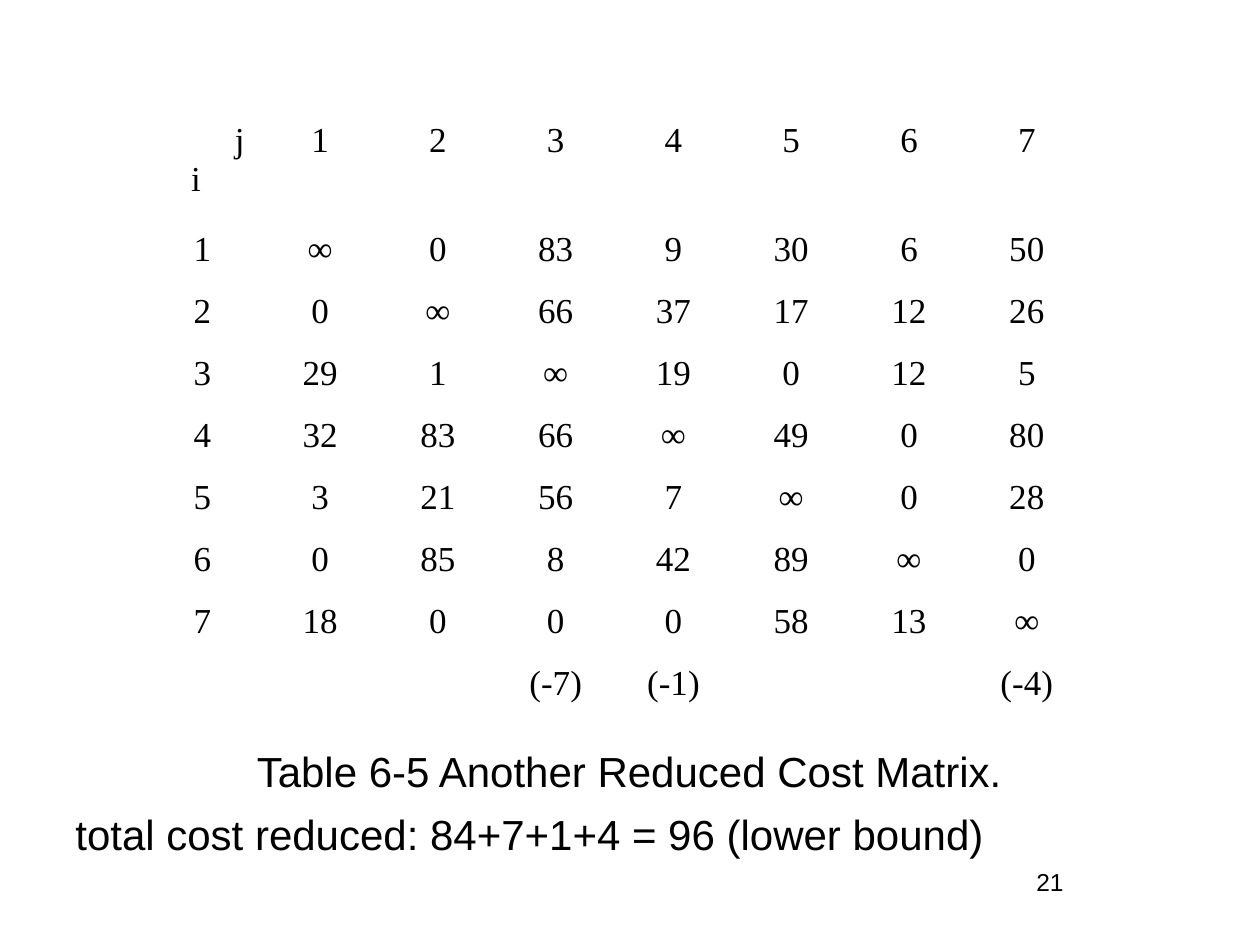
import pptx
import pptx.util
import pptx.dml.color
import pptx.enum.text

Pt = pptx.util.Pt
ALIGN = pptx.enum.text.PP_ALIGN
BLACK = pptx.dml.color.RGBColor(0, 0, 0)

COSTS = [
    ["∞", "0", "83", "9", "30", "6", "50"],
    ["0", "∞", "66", "37", "17", "12", "26"],
    ["29", "1", "∞", "19", "0", "12", "5"],
    ["32", "83", "66", "∞", "49", "0", "80"],
    ["3", "21", "56", "7", "∞", "0", "28"],
    ["0", "85", "8", "42", "89", "∞", "0"],
    ["18", "0", "0", "0", "58", "13", "∞"],
]
CUTS = ["", "", "(-7)", "(-1)", "", "", "(-4)"]
AXES = [("j", 45), ("i", 20)]
NOTES = [
    ("Table 6-5 Another Reduced Cost Matrix.", ALIGN.CENTER),
    ("total cost reduced: 84+7+1+4 = 96 (lower bound)", ALIGN.LEFT),
]
PAGE = "21"

GRID = {"name": "Times New Roman", "size": Pt(20)}
BODY = {"name": "Arial", "size": Pt(24)}
FOOT = {"name": "Arial", "size": Pt(14)}

LEFT, TOP, COL = 82, 65.5, 67.3
HEAD, ROW, LAST = 62.6, 35.4, 46


def write(frame, lines, style, gap=0):
    for n, (text, align, inset) in enumerate(lines):
        par = frame.add_paragraph() if n else frame.paragraphs[0]
        par.alignment = align
        if n and gap:
            par.space_before = Pt(gap)
        if inset:
            par._p.get_or_add_pPr().set("marL", str(Pt(inset)))
        run = par.add_run()
        run.text = text
        run.font.color.rgb = BLACK
        for key, value in style.items():
            setattr(run.font, key, value)


def add_box(slide, area, lines, style, gap=0):
    box = slide.shapes.add_textbox(*map(Pt, area))
    box.text_frame.word_wrap = True
    write(box.text_frame, lines, style, gap)


def add_grid(slide):
    heads = [str(n + 1) for n in range(len(COSTS))]
    rows = [[""] + heads]
    rows += [[name] + costs for name, costs in zip(heads, COSTS)]
    rows.append([""] + CUTS)
    tall = [HEAD] + [ROW] * len(COSTS) + [LAST]
    wide = len(rows[0])
    table = slide.shapes.add_table(
        len(rows), wide, Pt(LEFT), Pt(TOP), Pt(COL * wide), Pt(sum(tall))
    ).table
    table.first_row = table.horz_banding = False
    for col in table.columns:
        col.width = Pt(COL)
    for r, values in enumerate(rows):
        table.rows[r].height = Pt(tall[r])
        for c, text in enumerate(values):
            cell = table.cell(r, c)
            cell.fill.background()
            if text:
                write(cell.text_frame, [(text, ALIGN.CENTER, 0)], GRID)
    axes = [(name, ALIGN.LEFT, inset) for name, inset in AXES]
    write(table.cell(0, 0).text_frame, axes, GRID)


def main():
    deck = pptx.Presentation()
    deck.slide_width, deck.slide_height = Pt(720), Pt(540)
    slide = deck.slides.add_slide(deck.slide_layouts[6])
    add_grid(slide)
    notes = [(text, align, 0) for text, align in NOTES]
    add_box(slide, (36, 422.5, 647, 80), notes, BODY, 7)
    add_box(slide, (516, 492, 168, 37.5), [(PAGE, ALIGN.CENTER, 0)], FOOT)
    deck.save("out.pptx")


if __name__ == "__main__":
    main()
